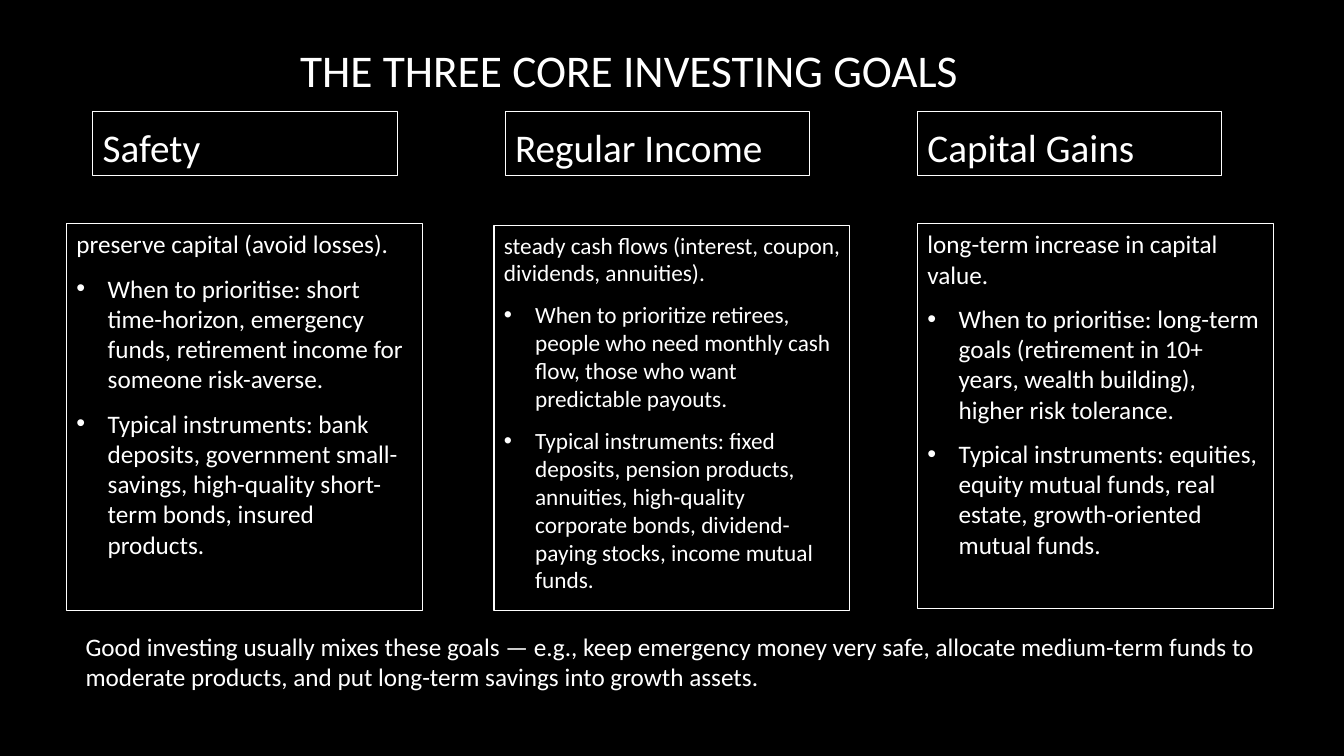
from pptx import Presentation
from pptx.dml.color import RGBColor
from pptx.enum.shapes import MSO_SHAPE
from pptx.enum.text import MSO_ANCHOR, PP_ALIGN
from pptx.util import Inches, Pt
from lxml import etree

RECT = MSO_SHAPE.RECTANGLE
TOP, MIDDLE, BOTTOM = MSO_ANCHOR.TOP, MSO_ANCHOR.MIDDLE, MSO_ANCHOR.BOTTOM
LEFT, CENTER = PP_ALIGN.LEFT, PP_ALIGN.CENTER
COLORS = {"background": "000000", "text": "FFFFFF", "line": "FFFFFF"}
FONT = "Calibri"
A_NS = "http://schemas.openxmlformats.org/drawingml/2006/main"
INDENT = Inches(0.31)

# Heading, heading left, body box, body size, summary, bullets
GOALS = [
    ("Safety", 0.92, (0.66, 2.22, 3.53, 3.84), 18,
     "preserve capital (avoid losses).",
     ["When to prioritise: short time-horizon, emergency funds, retirement "
      "income for someone risk-averse.",
      "Typical instruments: bank deposits, government small-savings, "
      "high-quality short-term bonds, insured products."]),
    ("Regular Income", 5.01, (4.9, 2.24, 3.53, 3.82), 16.6,
     "steady cash flows (interest, coupon, dividends, annuities).",
     ["When to prioritize retirees, people who need monthly cash flow, "
      "those who want predictable payouts.",
      "Typical instruments: fixed deposits, pension products, annuities, "
      "high-quality corporate bonds, dividend-paying stocks, income mutual funds."]),
    ("Capital Gains", 9.1, (9.1, 2.22, 3.53, 3.82), 18,
     "long-term increase in capital value.",
     ["When to prioritise: long-term goals (retirement in 10+ years, wealth "
      "building), higher risk tolerance.",
      "Typical instruments: equities, equity mutual funds, real estate, "
      "growth-oriented mutual funds."]),
]


def rgb(name):
    return RGBColor.from_string(COLORS[name])


def add_text(tf, text, size=18, align=LEFT, after=0, bullet=False, first=False):
    p = tf.paragraphs[0] if first else tf.add_paragraph()
    if bullet:
        pPr = p._p.get_or_add_pPr()
        pPr.set("marL", str(INDENT))
        pPr.set("indent", str(-INDENT))
        etree.SubElement(pPr, f"{{{A_NS}}}buFont", typeface="Arial")
        etree.SubElement(pPr, f"{{{A_NS}}}buChar", char="•")
    p.alignment = align
    p.space_after = Pt(after)
    r = p.add_run()
    r.text = text
    r.font.size = Pt(size)
    r.font.name = FONT
    r.font.color.rgb = rgb("text")


def add_frame(slide, box, anchor=TOP, outlined=False):
    box = [Inches(v) for v in box]
    if outlined:
        sp = slide.shapes.add_shape(RECT, *box)
        sp.shadow.inherit = False
        sp.fill.background()
        sp.line.color.rgb = rgb("line")
        sp.line.width = Pt(0.75)
    else:
        sp = slide.shapes.add_textbox(*box)
    tf = sp.text_frame
    tf.word_wrap = True
    tf.vertical_anchor = anchor
    return tf


def add_goal(slide, heading, left, box, size, summary, bullets):
    # Heading box
    tf = add_frame(slide, (left, 1.11, 3.02, 0.63), BOTTOM, outlined=True)
    add_text(tf, heading, size=28, after=10, first=True)
    # Description box
    tf = add_frame(slide, box, outlined=True)
    add_text(tf, summary, size=size, after=10, first=True)
    for text in bullets:
        add_text(tf, text, size=size, after=10, bullet=True)


def add_title(slide, box):
    tf = add_frame(slide, box, MIDDLE)
    add_text(tf, "THE THREE CORE INVESTING GOALS ", size=32.4, align=CENTER, first=True)


def add_takeaway(slide, box):
    tf = add_frame(slide, box)
    add_text(tf, "Good investing usually mixes these goals — e.g., keep emergency "
                 "money very safe, allocate medium-term funds to moderate products, "
                 "and put long-term savings into growth assets.", first=True)


def main():
    prs = Presentation()
    prs.slide_width, prs.slide_height = Inches(13.33), Inches(7.5)
    slide = prs.slides.add_slide(prs.slide_layouts[6])
    slide.background.fill.solid()
    slide.background.fill.fore_color.rgb = rgb("background")

    add_title(slide, (0.75, 0.37, 11.08, 0.63))
    for goal in GOALS:
        add_goal(slide, *goal)
    add_takeaway(slide, (0.75, 6.21, 11.88, 0.71))
    prs.save("out.pptx")


if __name__ == "__main__":
    main()
